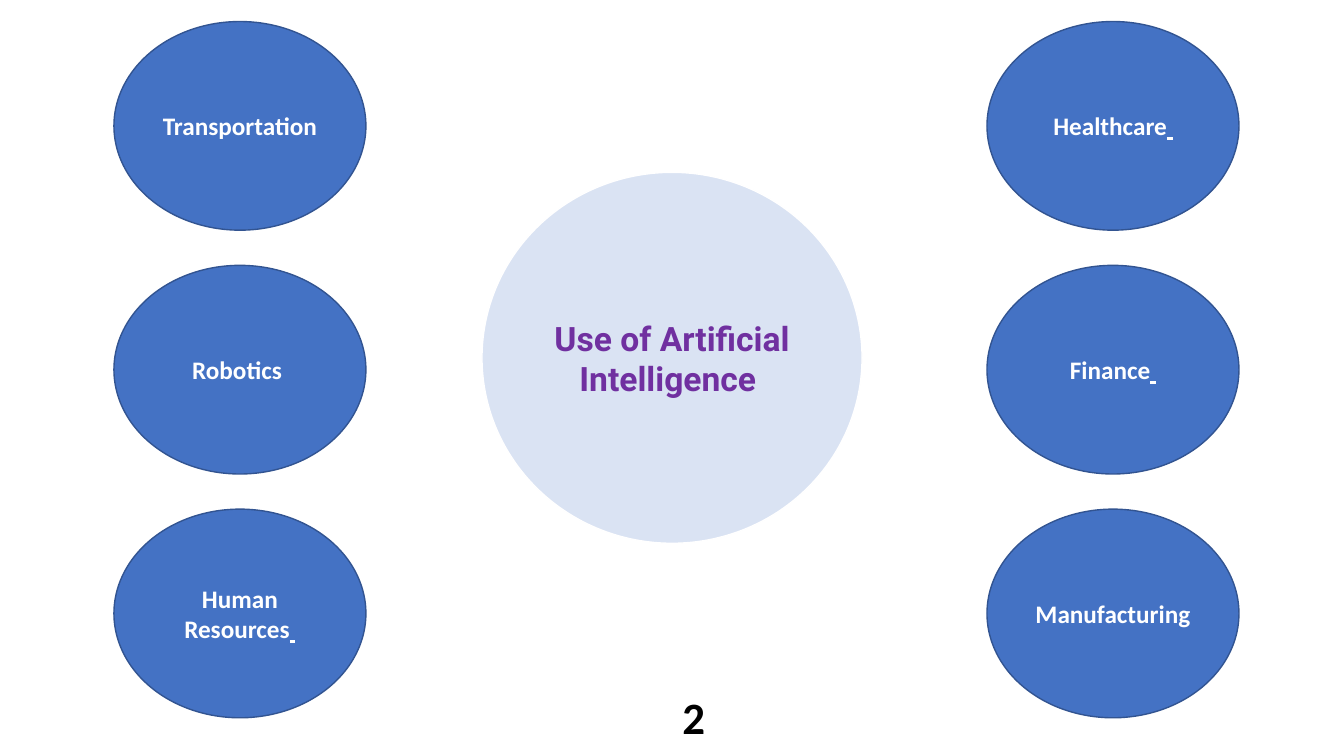
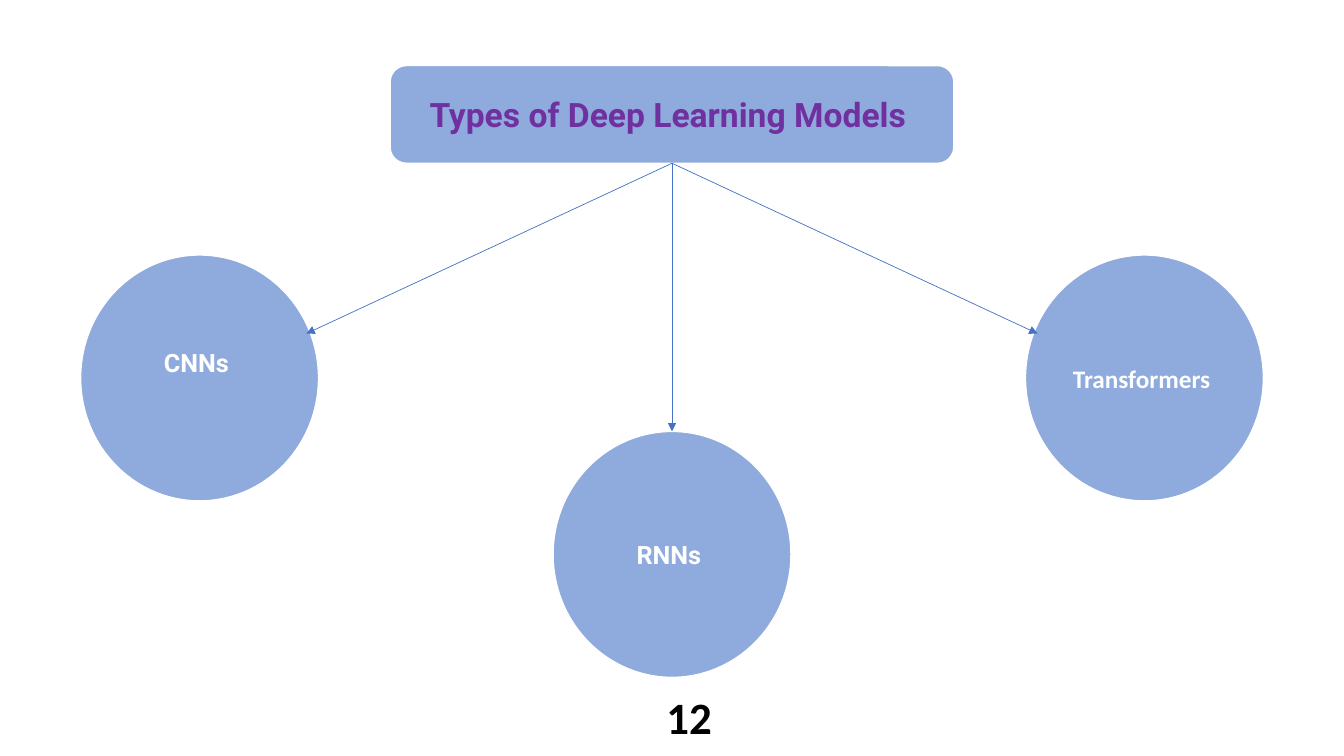
"""Build two diagram slides: uses of artificial intelligence and types of deep learning models."""
from lxml.etree import SubElement
from pptx import Presentation
from pptx.dml.color import RGBColor
from pptx.enum.shapes import MSO_CONNECTOR, MSO_SHAPE
from pptx.enum.text import MSO_ANCHOR, PP_ALIGN
from pptx.oxml.ns import qn
from pptx.util import Inches, Pt

THEME = {
    "blue": RGBColor.from_string("4472C4"),
    "navy": RGBColor.from_string("325491"),
    "mid": RGBColor.from_string("8FAADC"),
    "pale": RGBColor.from_string("DAE3F3"),
    "white": RGBColor.from_string("FFFFFF"),
    "purple": RGBColor.from_string("7030A0"),
    "black": RGBColor.from_string("000000"),
    "title": {"name": "Roboto", "size": Pt(24), "bold": True},
    "label": {"name": "Calibri", "size": Pt(18), "bold": True},
    "model": {"name": "Roboto", "size": Pt(18), "bold": True},
    "number": {"name": "Calibri", "size": Pt(32), "bold": True},
}

prs = Presentation()
prs.slide_width, prs.slide_height = Inches(13.33), Inches(7.5)
COL, ROW = prs.slide_width / 100, prs.slide_height / 100


def add_runs(p, texts, style, color):
    """Add runs in one style; a lone space is underlined."""
    for text in texts:
        r = p.add_run()
        r.text = text
        for name, value in THEME[style].items():
            setattr(r.font, name, value)
        r.font.color.rgb = THEME[color]
        if text == " ":
            r.font.underline = True


def add_node(s, kind, box, texts, style, fill, line="white", color="white"):
    """Add a filled shape with centred text; box is in percent of the slide."""
    x, y, w, h = box
    sp = s.shapes.add_shape(kind, int(x * COL), int(y * ROW), int(w * COL), int(h * ROW))
    sp.shadow.inherit = False
    sp.fill.solid()
    sp.fill.fore_color.rgb = THEME[fill]
    sp.line.color.rgb = THEME[line]
    sp.line.width = Pt(1)
    tf = sp.text_frame
    tf.word_wrap = True
    tf.vertical_anchor = MSO_ANCHOR.MIDDLE
    tf.paragraphs[0].alignment = PP_ALIGN.CENTER
    add_runs(tf.paragraphs[0], texts, style, color)
    return sp


uses, models = [prs.slides.add_slide(prs.slide_layouts[6]) for _ in range(2)]

use_columns = {
    8.48: [["Transportation", " "], ["Robotics "], ["Human", " ", "Resources", " "]],
    73.44: [["Healthcare", " "], ["Finance", " "], ["Manufacturing", " "]],
}
for x, labels in use_columns.items():
    for i, texts in enumerate(labels):
        add_node(uses, MSO_SHAPE.OVAL, (x, 2.85 + 32.25 * i, 18.75, 27.6),
                 texts, "label", "blue", line="navy")
add_node(uses, MSO_SHAPE.OVAL, (35.86, 22.8, 28.28, 49.07),
         ["Use of Artificial Intelligence "], "title", "pale", color="purple")

title = add_node(models, MSO_SHAPE.ROUNDED_RECTANGLE, (29.03, 8.67, 41.94, 12.93),
                 ["Types of Deep Learning Models "], "title", "mid", color="purple")
circles = []
for i, (text, style, y) in enumerate([("CNNs ", "model", 33.73),
                                      ("RNNs ", "model", 57.07),
                                      ("Transformers ", "label", 33.73)]):
    circles.append(add_node(models, MSO_SHAPE.OVAL, (6 + 35.15 * i, y, 17.7, 32.53),
                            [text], style, "mid"))
cnns, rnns, transformers = circles
cnns.text_frame.margin_bottom = Inches(0.35)

for x, y, target in [(22.8, 44.13, None), (50, 57.07, rnns), (77.2, 44.13, None)]:
    arrow = models.shapes.add_connector(MSO_CONNECTOR.STRAIGHT, int(50 * COL), int(21.6 * ROW),
                                        int(x * COL), int(y * ROW))
    arrow.begin_connect(title, 2)
    if target is not None:
        arrow.end_connect(target, 0)
    arrow.line.color.rgb = THEME["blue"]
    arrow.line.width = Pt(0.5)
    SubElement(arrow.line._get_or_add_ln(), qn("a:tailEnd"), type="triangle")
    SubElement(arrow._element.spPr, qn("a:effectLst"))

for s, number, x, w in [(uses, "2", 50.04, 3.68), (models, "12", 48.84, 5.1)]:
    sp = s.shapes.add_textbox(int(x * COL), int(90.53 * ROW), int(w * COL), int(8.53 * ROW))
    sp.text_frame.word_wrap = True
    add_runs(sp.text_frame.paragraphs[0], [number], "number", "black")

prs.save("out.pptx")
